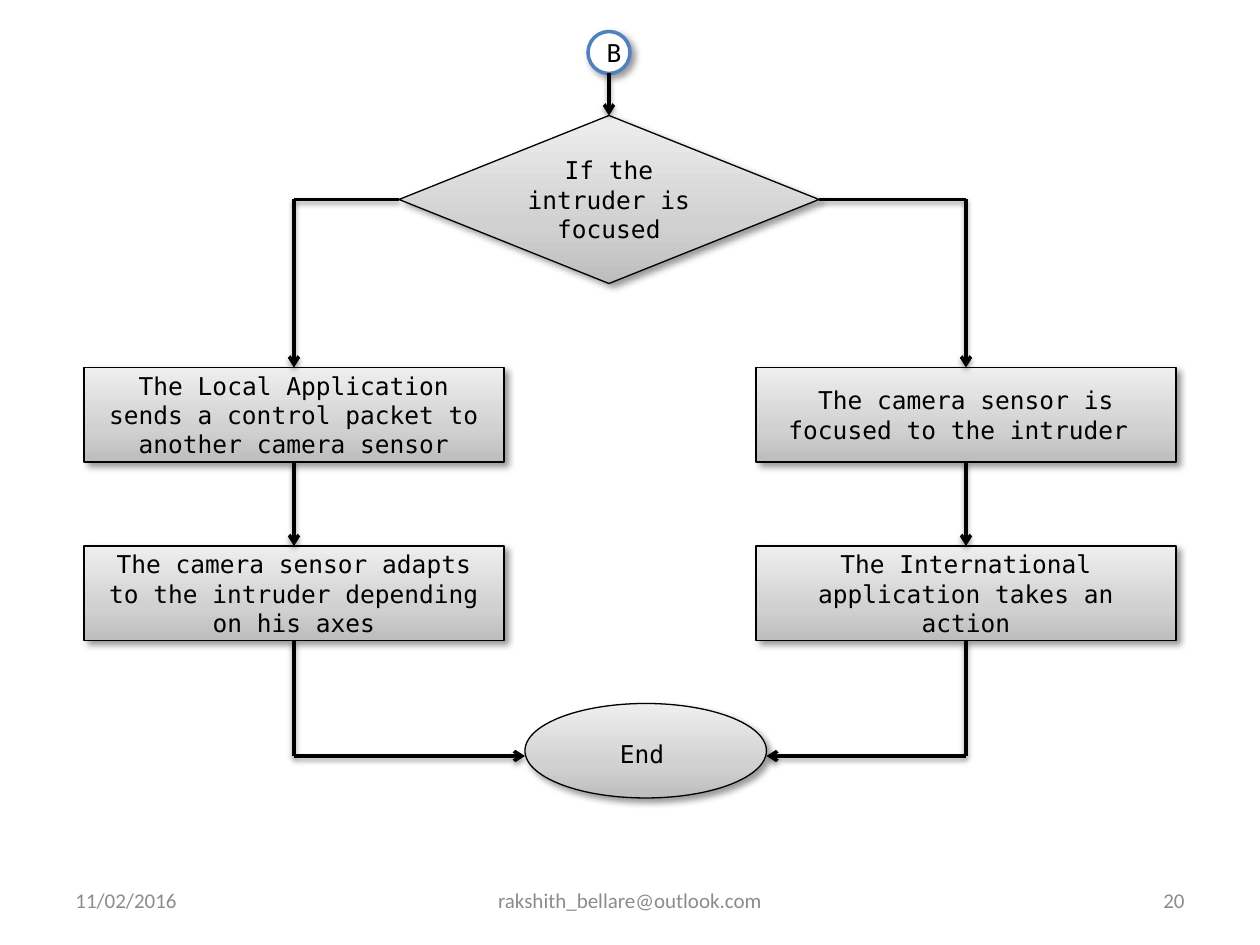
from lxml import etree
from pptx import Presentation
from pptx.dml.color import RGBColor
from pptx.enum.shapes import MSO_CONNECTOR, MSO_SHAPE
from pptx.enum.text import MSO_ANCHOR, PP_ALIGN
from pptx.oxml import parse_xml
from pptx.oxml.ns import nsdecls, qn
from pptx.util import Pt

PX = 9525  # 96 px to the inch
COLORS = {"black": "000000", "white": "FFFFFF", "ring": "4F81BD", "footer": "8C8C8C",
          "dark": "BDBDBD", "middle": "D1D1D1", "light": "EEEEEE"}


def add_shadow(properties, alpha, blur, distance, angle):
    """Put an outer shadow on a shape or connector; blur and distance in points."""
    for effects in properties.findall(qn("a:effectLst")):
        properties.remove(effects)
    properties.append(parse_xml(
        f'<a:effectLst {nsdecls("a")}><a:outerShdw blurRad="{Pt(blur)}" dist="{Pt(distance)}" '
        f'dir="{angle * 60000}" rotWithShape="0"><a:srgbClr val="{COLORS["black"]}">'
        f'<a:alpha val="{alpha * 1000}"/></a:srgbClr></a:outerShdw></a:effectLst>'))


def format_text(paragraph, alignment, font_name, size, color):
    paragraph.alignment = alignment
    for span in paragraph.runs:
        span.font.name = font_name
        span.font.size = Pt(size)
        span.font.color.rgb = RGBColor.from_string(COLORS[color])


deck = Presentation()
deck.slide_width, deck.slide_height = 960 * PX, 720 * PX
page = deck.slides.add_slide(deck.slide_layouts[6])

# Footer
for left, width, text, alignment in [
    (48, 224, "11/02/2016", PP_ALIGN.LEFT),
    (328, 304, "rakshith_bellare@outlook.com", PP_ALIGN.CENTER),
    (688, 224, "20", PP_ALIGN.RIGHT),
]:
    box = page.shapes.add_textbox(left * PX, 667 * PX, width * PX, 38 * PX)
    box.text_frame.word_wrap = True
    box.text_frame.vertical_anchor = MSO_ANCHOR.MIDDLE
    box.text_frame.text = text
    format_text(box.text_frame.paragraphs[0], alignment, "Calibri", 12, "footer")

# Flowchart nodes: two columns of steps between the decision and the end
LEFT, RIGHT, STEP_WIDTH, STEP_HEIGHT = 64, 576, 320, 72
ROWS = [280, 416]
nodes = {}
for name, kind, left, top, width, height, text in [
    ("start", MSO_SHAPE.OVAL, 448, 24, 32, 32, "B"),
    ("decision", MSO_SHAPE.DIAMOND, 304, 88, 320, 128, "If the intruder is focused"),
    ("send", MSO_SHAPE.RECTANGLE, LEFT, ROWS[0], STEP_WIDTH, STEP_HEIGHT,
     "The Local Application sends a control packet to another camera sensor"),
    ("focus", MSO_SHAPE.RECTANGLE, RIGHT, ROWS[0], STEP_WIDTH, STEP_HEIGHT,
     "The camera sensor is focused to the intruder "),
    ("adapt", MSO_SHAPE.RECTANGLE, LEFT, ROWS[1], STEP_WIDTH, STEP_HEIGHT,
     "The camera sensor adapts to the intruder depending on his axes"),
    ("act", MSO_SHAPE.RECTANGLE, RIGHT, ROWS[1], STEP_WIDTH, STEP_HEIGHT,
     "The International application takes an action"),
    ("end", MSO_SHAPE.OVAL, 400, 536, 184, 72, "End"),
]:
    node = page.shapes.add_shape(kind, left * PX, top * PX, width * PX, height * PX)
    node.shadow.inherit = False
    properties = node._element.spPr
    if name == "start":
        node.fill.solid()
        node.fill.fore_color.rgb = RGBColor.from_string(COLORS["white"])
    else:
        stops = "".join(
            f'<a:gs pos="{position * 1000}"><a:srgbClr val="{COLORS[shade]}"/></a:gs>'
            for position, shade in [(0, "dark"), (35, "middle"), (100, "light")])
        properties.find(qn("a:prstGeom")).addnext(parse_xml(
            f'<a:gradFill {nsdecls("a")} rotWithShape="1"><a:gsLst>{stops}</a:gsLst>'
            f'<a:lin ang="{270 * 60000}" scaled="0"/></a:gradFill>'))
    node.line.color.rgb = RGBColor.from_string(COLORS["ring" if name == "start" else "black"])
    node.line.width = Pt(2 if name == "start" else 0.75)
    add_shadow(properties, 40, 4, 3, 45)
    node.text_frame.vertical_anchor = MSO_ANCHOR.MIDDLE
    node.text_frame.text = text
    paragraph = node.text_frame.paragraphs[0]
    format_text(paragraph, PP_ALIGN.CENTER, "DejaVu Sans Mono", 14, "black")
    if name == "end":
        space = paragraph.add_run()
        space.text = " "
        space.font.name, space.font.size = "Calibri", Pt(18)
    nodes[name] = node

# Connectors: start, end, arrowhead, joined node and side at each end
LEFT_AXIS, RIGHT_AXIS = LEFT + STEP_WIDTH // 2, RIGHT + STEP_WIDTH // 2
routes = [((464, 56), (464, 88), True, None, ("decision", 0))]
for axis, first, second, side, corner_x, end_x in [
    (LEFT_AXIS, "send", "adapt", 1, 304, 400),
    (RIGHT_AXIS, "focus", "act", 3, 624, 584),
]:
    routes += [
        ((corner_x, 152), (axis, 152), False, ("decision", side), None),
        ((axis, 152), (axis, ROWS[0]), True, None, (first, 0)),
        ((axis, ROWS[0] + STEP_HEIGHT), (axis, ROWS[1]), True, (first, 2), (second, 0)),
        ((axis, ROWS[1] + STEP_HEIGHT), (axis, 576), False, (second, 2), None),
        ((axis, 576), (end_x, 576), True, None, None),
    ]
for start, finish, arrow, source, target in routes:
    connector = page.shapes.add_connector(
        MSO_CONNECTOR.STRAIGHT, *(value * PX for value in start + finish))
    if source:
        connector.begin_connect(nodes[source[0]], source[1])
    if target:
        connector.end_connect(nodes[target[0]], target[1])
    connector.line.color.rgb = RGBColor.from_string(COLORS["black"])
    connector.line.width = Pt(2)
    properties = connector._element.spPr
    if arrow:
        etree.SubElement(properties.find(qn("a:ln")), qn("a:tailEnd"), type="arrow")
    add_shadow(properties, 38, 3.1, 1.6, 90)

deck.save("out.pptx")
